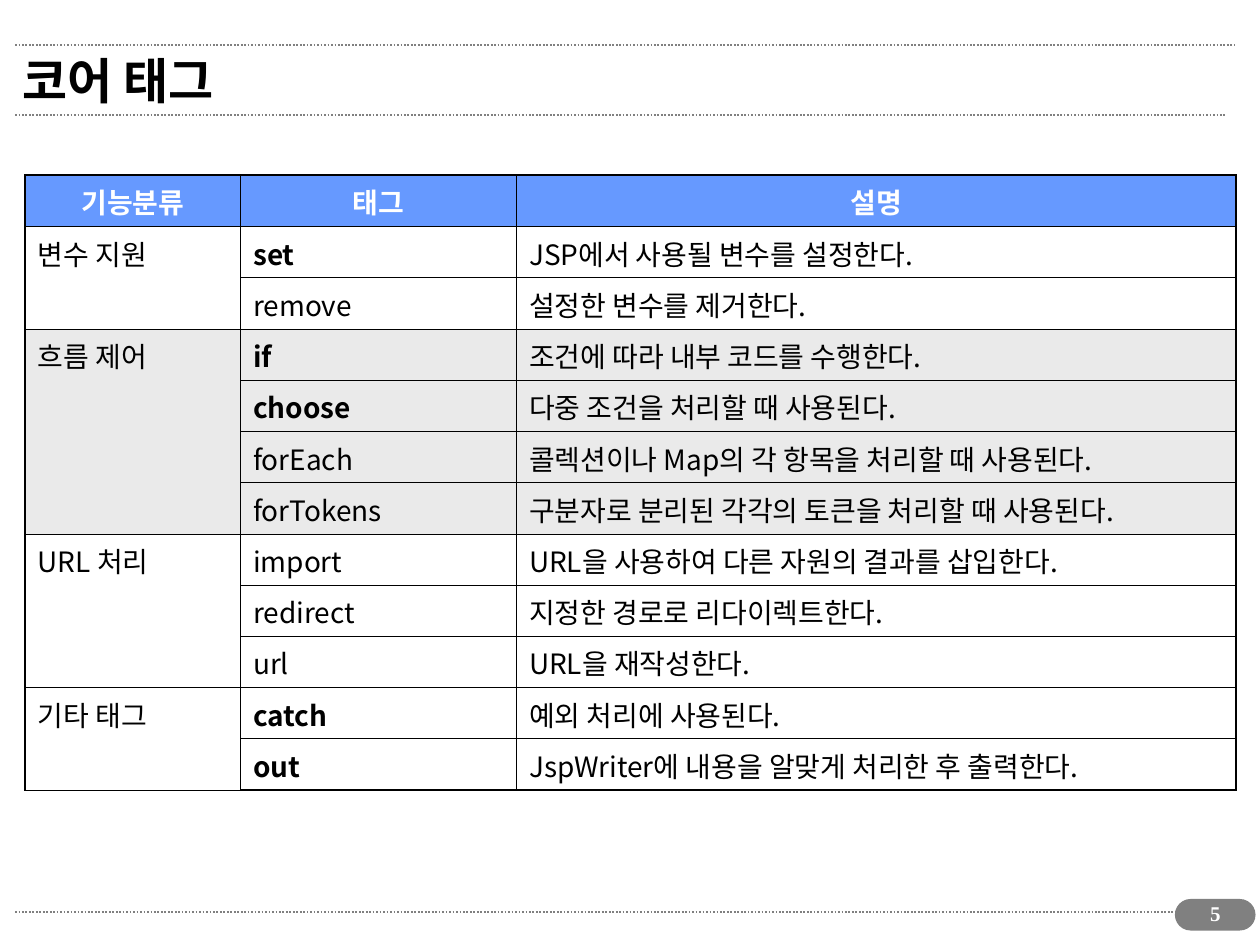
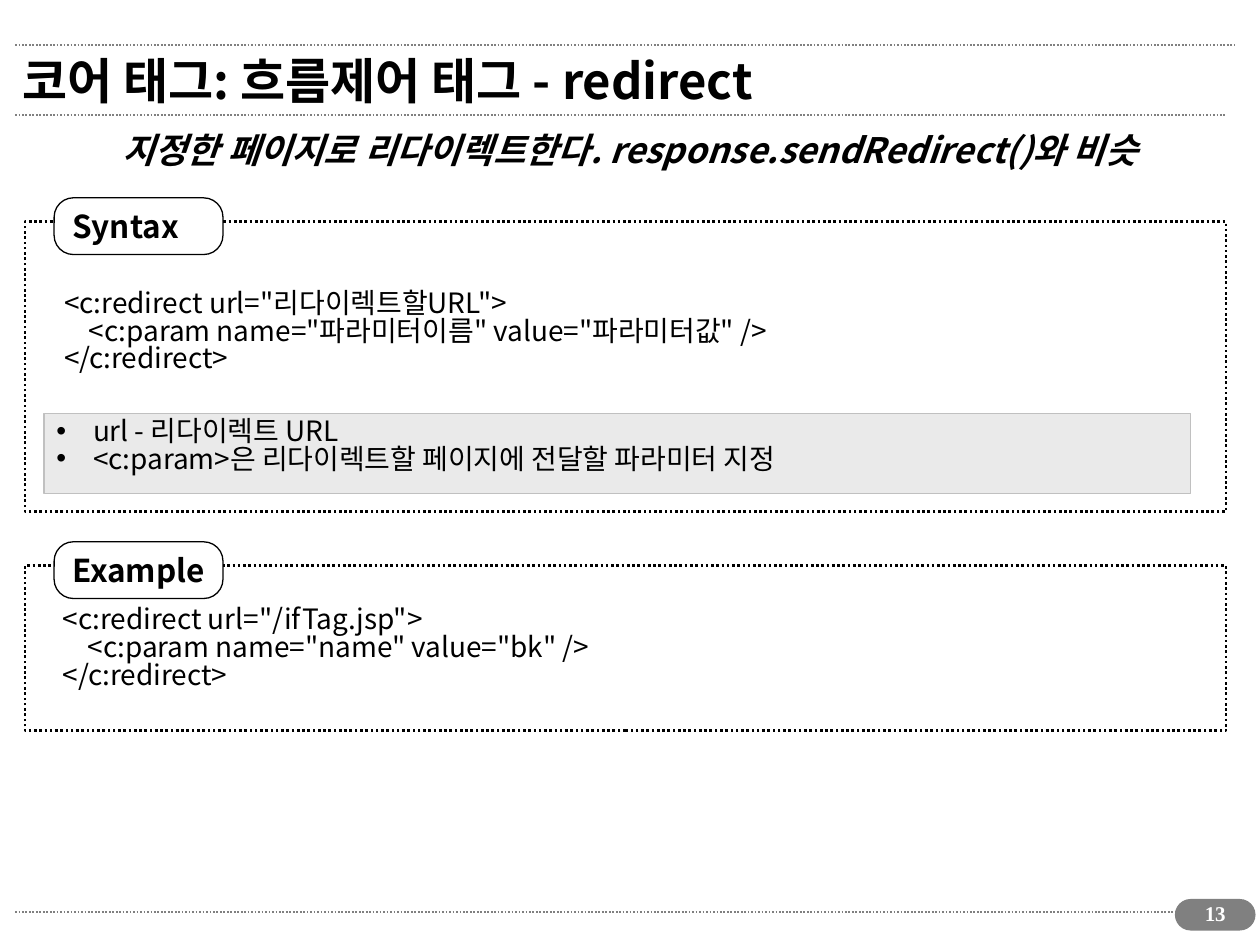
from dataclasses import dataclass
from typing import NamedTuple

from lxml import etree
from pptx import Presentation
from pptx.dml.color import RGBColor
from pptx.enum.dml import MSO_LINE
from pptx.enum.shapes import MSO_CONNECTOR, MSO_SHAPE
from pptx.enum.text import MSO_ANCHOR, PP_ALIGN
from pptx.oxml.ns import qn
from pptx.util import Emu, Inches, Pt

DOT = MSO_LINE.ROUND_DOT
STRAIGHT = MSO_CONNECTOR.STRAIGHT
RECT, ROUND = MSO_SHAPE.RECTANGLE, MSO_SHAPE.ROUNDED_RECTANGLE
TOP, MID = MSO_ANCHOR.TOP, MSO_ANCHOR.MIDDLE
LEFT, CENTER = PP_ALIGN.LEFT, PP_ALIGN.CENTER

WIDE, HIGH = Inches(10), Inches(7.5)
COLS, ROWS = 100, 75  # page grid


@dataclass(frozen=True)
class Theme:
    font: str = "Noto Sans CJK KR"
    digit: str = "Times New Roman"
    ink: str = "000000"
    paper: str = "FFFFFF"
    gray: str = "808080"
    edge: str = "C0C0C0"
    tint: str = "EAEAEA"
    head: str = "6699FF"
    title: int = 28
    lead: int = 20
    label: int = 18
    body: int = 16
    page: int = 12
    tight: float = 0.83


T = Theme()


class Box(NamedTuple):
    """Place on the page, in grid columns and rows."""
    x: float
    y: float
    w: float
    h: float

    def emu(self) -> tuple[Emu, ...]:
        return across(self.x), down(self.y), across(self.w), down(self.h)


class Rule(NamedTuple):
    y: float
    end: float


class Group(NamedTuple):
    name: str
    fill: str | None
    tags: list[tuple[str, bool, str]]


class Panel(NamedTuple):
    label: str
    top: float
    high: float
    code: Box
    lines: list[str]


def across(n: float) -> Emu:
    return Emu(round(WIDE * n / COLS))


def down(n: float) -> Emu:
    return Emu(round(HIGH * n / ROWS))


def paint(fill, color: str | None) -> None:
    if color:
        fill.solid()
        fill.fore_color.rgb = RGBColor.from_string(color)
    else:
        fill.background()


def stroke(line, color: str, width: float, dash=None) -> None:
    paint(line.fill, color)
    for key, val in {"width": Pt(width), "dash_style": dash}.items():
        setattr(line, key, val)


def bullet(para) -> None:
    props = para._p.get_or_add_pPr()
    props.set("marL", str(Inches(0.29)))
    props.set("indent", str(-Inches(0.29)))
    etree.SubElement(props, qn("a:buFont")).set("typeface", "Arial")
    etree.SubElement(props, qn("a:buChar")).set("char", "•")


def write(frame, lines: list[str], size: int, color: str = T.ink, bold: bool = False,
          italic: bool = False, face: str = T.font, align=LEFT,
          space: float = 1.0, dots: bool = False) -> None:
    for i, line in enumerate(lines):
        para = frame.add_paragraph() if i else frame.paragraphs[0]
        for key, val in {"alignment": align, "line_spacing": space}.items():
            setattr(para, key, val)
        if dots:
            bullet(para)
        run = para.add_run()
        run.text = line
        look = {"size": Pt(size), "bold": bold, "italic": italic, "name": face}
        for key, val in look.items():
            setattr(run.font, key, val)
        run.font.color.rgb = RGBColor.from_string(color)
        etree.SubElement(run._r.get_or_add_rPr(), qn("a:ea")).set("typeface", face)


def text(slide, box: Box, lines: list[str], size: int, wrap: bool = True,
         anchor=TOP, **look) -> None:
    frame = slide.shapes.add_textbox(*box.emu()).text_frame
    for key, val in {"word_wrap": wrap, "vertical_anchor": anchor}.items():
        setattr(frame, key, val)
    write(frame, lines, size, **look)


def block(slide, kind, box: Box, fill: str | None, color: str, width: float,
          dash=None, curve: float | None = None):
    shape = slide.shapes.add_shape(kind, *box.emu())
    shape.shadow.inherit = False
    paint(shape.fill, fill)
    stroke(shape.line, color, width, dash)
    if curve is not None:
        shape.adjustments[0] = curve
    return shape


# Shared page parts
RULES = [Rule(72.4, 97.3), Rule(9.1, 97.2), Rule(3.6, 98)]


def page(deck, title: str, number: int):
    slide = deck.slides.add_slide(deck.slide_layouts[6])
    for rule in RULES:
        y = down(rule.y)
        line = slide.shapes.add_connector(STRAIGHT, across(1.2), y, across(rule.end), y)
        stroke(line.line, T.gray, 1, DOT)
        etree.SubElement(line._element.spPr, qn("a:effectLst"))
    block(slide, ROUND, Box(93.3, 71.4, 6.3, 2.4), T.gray, T.gray, 0.75, curve=0.5)
    text(slide, Box(0.8, 2.8, 91, 7.1), [title], T.title, anchor=MID, bold=True)
    text(slide, Box(93.7, 71, 5.5, 3.4), [str(number)], T.page, color=T.paper,
         bold=True, face=T.digit, align=CENTER)
    return slide


# Tag table
HEADS = ["기능분류", "태그", "설명"]
SPANS = [17.1, 21.9, 57.1]
STEP = 4.07
GROUPS = [
    Group("변수 지원", None, [
        ("set", True, "JSP에서 사용될 변수를 설정한다."),
        ("remove", False, "설정한 변수를 제거한다.")]),
    Group("흐름 제어", T.tint, [
        ("if", True, "조건에 따라 내부 코드를 수행한다."),
        ("choose", True, "다중 조건을 처리할 때 사용된다."),
        ("forEach", False, "콜렉션이나 Map의 각 항목을 처리할 때 사용된다."),
        ("forTokens", False, "구분자로 분리된 각각의 토큰을 처리할 때 사용된다.")]),
    Group("URL 처리", None, [
        ("import", False, "URL을 사용하여 다른 자원의 결과를 삽입한다."),
        ("redirect", False, "지정한 경로로 리다이렉트한다."),
        ("url", False, "URL을 재작성한다.")]),
    Group("기타 태그", None, [
        ("catch", True, "예외 처리에 사용된다."),
        ("out", True, "JspWriter에 내용을 알맞게 처리한 후 출력한다.")]),
]


def border(cell, outer: dict[str, bool]) -> None:
    props = cell._tc.get_or_add_tcPr()
    for side, thick in outer.items():
        line = etree.SubElement(props, qn(f"a:ln{side}"), w=str(Pt(1.08 if thick else 0.45)))
        fill = etree.SubElement(line, qn("a:solidFill"))
        etree.SubElement(fill, qn("a:srgbClr"), val=T.ink)


def tags(slide) -> None:
    count = 1 + sum(len(group.tags) for group in GROUPS)
    box = Box(2, 13.9, sum(SPANS), STEP * count)
    table = slide.shapes.add_table(count, len(SPANS), *box.emu()).table
    for key in ("first_row", "horz_banding"):
        setattr(table, key, False)
    for col, span in zip(table.columns, SPANS):
        col.width = across(span)
    for row in table.rows:
        row.height = down(STEP)

    fills = [T.head] + [group.fill for group in GROUPS for _ in group.tags]
    for r, fill in enumerate(fills):
        for c in range(len(SPANS)):
            cell = table.cell(r, c)
            border(cell, {"L": c == 0, "R": c == len(SPANS) - 1,
                          "T": r == 0, "B": r == count - 1})
            paint(cell.fill, fill)

    for c, head in enumerate(HEADS):
        write(table.cell(0, c).text_frame, [head], T.body, T.paper, True, align=CENTER)
    r = 1
    for group in GROUPS:
        first = table.cell(r, 0)
        first.merge(table.cell(r + len(group.tags) - 1, 0))
        write(first.text_frame, [group.name], T.body)
        for tag, bold, note in group.tags:
            write(table.cell(r, 1).text_frame, [tag], T.body, bold=bold)
            write(table.cell(r, 2).text_frame, [note], T.body)
            r += 1


# Framed code panels
PANELS = [
    Panel("Syntax", 17.6, 23, Box(4.1, 22.6, 60.1, 9), [
        '<c:redirect url="리다이렉트할URL">',
        '    <c:param name="파라미터이름" value="파라미터값" />',
        "</c:redirect>"]),
    Panel("Example", 44.9, 13.1, Box(4, 47.7, 44, 9), [
        '<c:redirect url="/ifTag.jsp">',
        '    <c:param name="name" value="bk" />',
        "</c:redirect>"]),
]
NOTES = ["url - 리다이렉트 URL",
         "<c:param>은 리다이렉트할 페이지에 전달할 파라미터 지정"]


def panel(slide, item: Panel) -> None:
    block(slide, RECT, Box(2, item.top, 95.3, item.high), None, T.ink, 1.5, DOT)
    label = block(slide, ROUND, Box(4.3, item.top - 1.9, 13.4, 4.5), T.paper,
                  T.ink, 0.75, curve=0.34)
    for key, val in {"word_wrap": False, "vertical_anchor": MID}.items():
        setattr(label.text_frame, key, val)
    write(label.text_frame, [item.label], T.label, bold=True)
    text(slide, item.code, item.lines, T.body, wrap=False, space=T.tight)


def main() -> None:
    deck = Presentation()
    for key, val in {"slide_width": WIDE, "slide_height": HIGH}.items():
        setattr(deck, key, val)

    tags(page(deck, "코어 태그", 5))

    slide = page(deck, "코어 태그: 흐름제어 태그 - redirect", 13)
    text(slide, Box(0, 10.3, 100, 4.4),
         ["지정한 페이지로 리다이렉트한다. response.sendRedirect()와 비슷"],
         T.lead, bold=True, italic=True, align=CENTER, space=T.tight)
    for item in PANELS:
        panel(slide, item)
    notes = block(slide, RECT, Box(3.5, 32.8, 91, 6.4), T.tint, T.edge, 0.75)
    for key, val in {"word_wrap": True, "vertical_anchor": TOP}.items():
        setattr(notes.text_frame, key, val)
    write(notes.text_frame, NOTES, T.body, space=T.tight, dots=True)

    deck.save("out.pptx")


if __name__ == "__main__":
    main()
